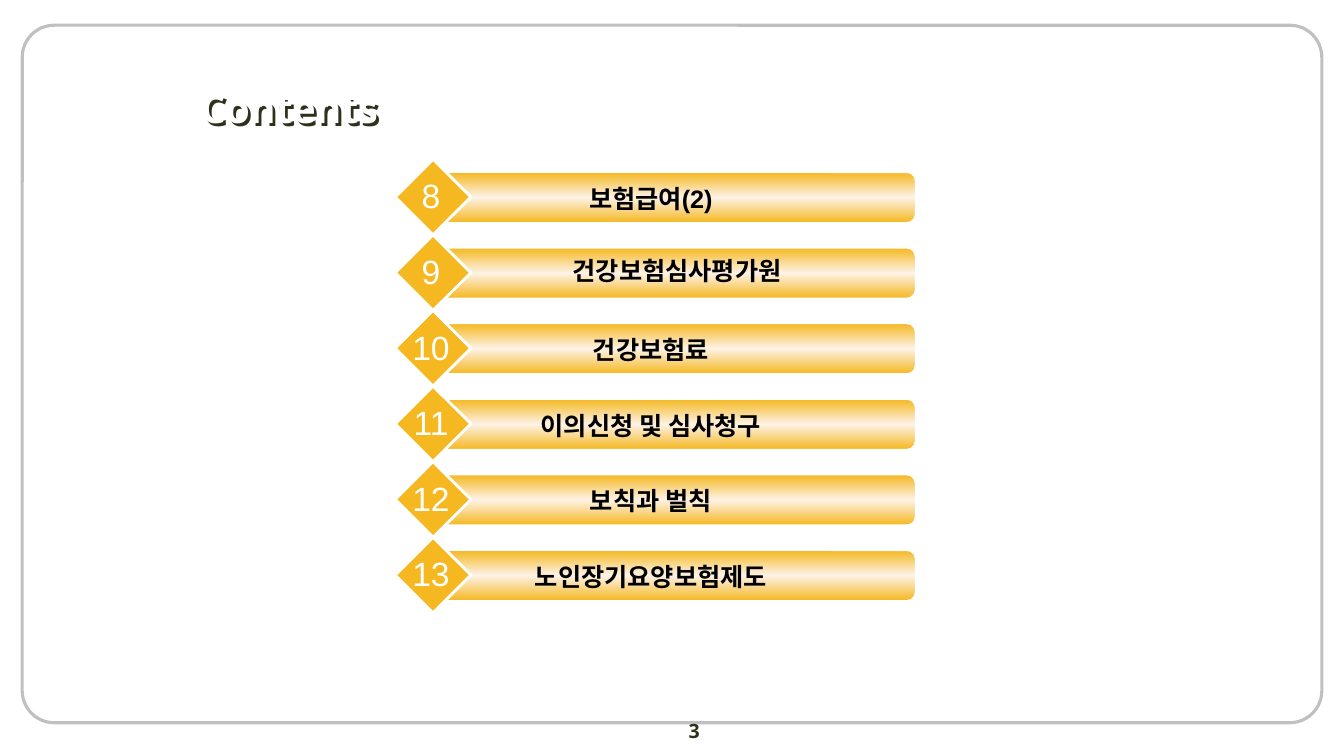
import copy

import pptx
import pptx.util
import pptx.dml.color
import pptx.enum.shapes
import pptx.enum.text
import pptx.oxml
import pptx.oxml.ns

Inches, Pt = pptx.util.Inches, pptx.util.Pt
RGBColor = pptx.dml.color.RGBColor
MSO_SHAPE = pptx.enum.shapes.MSO_SHAPE
PP_ALIGN = pptx.enum.text.PP_ALIGN
MSO_ANCHOR = pptx.enum.text.MSO_ANCHOR

TITLE = "Contents"
PAGE = "3"
CHAPTERS = [
    (8, "보험급여(2)"),
    (9, "건강보험심사평가원"),
    (10, "건강보험료"),
    (11, "이의신청 및 심사청구"),
    (12, "보칙과 벌칙"),
    (13, "노인장기요양보험제도"),
]
SHIFTED_LABELS = {9: (4.84, 0.15)}  # left and drop that differ from the rest

AMBER = RGBColor(0xF5, 0xB8, 0x21)
CREAM = RGBColor(0xFD, 0xF2, 0xE6)
GRAY = RGBColor(0xC0, 0xC0, 0xC0)
OLIVE = RGBColor(0x30, 0x31, 0x1D)
WHITE = RGBColor(0xFF, 0xFF, 0xFF)
BLACK = RGBColor(0, 0, 0)

TITLE_FONT = {"name": "Open Sans", "size": Pt(28), "bold": True}
PAGE_FONT = {"name": "Open Sans", "size": Pt(14), "bold": True}
LABEL_FONT = {"name": "Arial", "size": Pt(18), "bold": True}
NUMBER_FONT = {"name": "Arial", "size": Pt(24), "bold": False}

FIRST_TOP, PITCH = 1.58, 0.75
TITLE_SHADOW = (
    '<a:effectLst %s><a:outerShdw dist="36000" dir="2700000" algn="ctr" '
    'rotWithShape="0"><a:srgbClr val="%s"/></a:outerShdw></a:effectLst>'
    % (pptx.oxml.ns.nsdecls("a"), OLIVE)
)


def write(tf, text, font, color, align):
    p = tf.paragraphs[0]
    p.alignment = align
    r = p.add_run()
    r.text = text
    for name, value in font.items():
        setattr(r.font, name, value)
    r.font.color.rgb = color


def add_text(s, box, text, font, color, wrap=True):
    tf = s.shapes.add_textbox(*map(Inches, box)).text_frame
    tf.word_wrap = wrap
    write(tf, text, font, color, PP_ALIGN.CENTER)


def add_outlined(s, kind, box, line, width):
    sp = s.shapes.add_shape(kind, *map(Inches, box))
    sp.shadow.inherit = False
    sp.line.color.rgb = line
    sp.line.width = Pt(width)
    return sp


def fill_glossy(sp):
    """Vertical gradient: amber edges around a cream middle."""
    sp.fill.gradient()
    sp.fill.gradient_angle = 90
    first = sp._element.spPr.find(".//" + pptx.oxml.ns.qn("a:gs"))
    first.addnext(copy.deepcopy(first))
    stops = zip(sp.fill.gradient_stops, (0, 0.5, 1), (AMBER, CREAM, AMBER))
    for stop, position, color in stops:
        stop.position = position
        stop.color.rgb = color


def set_title(s):
    """White title, made legible by the shadow of its unfilled shape."""
    title = s.shapes.title
    title.left, title.top, title.width, title.height = map(
        Inches, (1.89, 0.78, 10.67, 0.58))
    title.fill.background()
    title.line.fill.background()
    title._element.spPr.append(pptx.oxml.parse_xml(TITLE_SHADOW))
    title.text_frame.vertical_anchor = MSO_ANCHOR.MIDDLE
    write(title.text_frame, TITLE, TITLE_FONT, WHITE, PP_ALIGN.LEFT)


def add_chapter(s, top, number, label):
    bar = add_outlined(s, MSO_SHAPE.ROUNDED_RECTANGLE,
                       (4.33, top + 0.13, 4.75, 0.5), WHITE, 1)
    fill_glossy(bar)
    diamond = add_outlined(s, MSO_SHAPE.DIAMOND,
                           (3.92, top, 0.75, 0.75), WHITE, 2)
    diamond.fill.solid()
    diamond.fill.fore_color.rgb = AMBER
    left, drop = SHIFTED_LABELS.get(number, (4.58, 0.19))
    add_text(s, (left, top + drop, 3.75, 0.4), label, LABEL_FONT, BLACK)
    add_text(s, (3.99, top + 0.11, 0.57, 0.5), str(number), NUMBER_FONT,
             WHITE, wrap=False)


def main():
    prs = pptx.Presentation()
    prs.slide_width, prs.slide_height = Inches(13.33), Inches(7.5)
    s = prs.slides.add_slide(prs.slide_layouts[5])

    frame = add_outlined(s, MSO_SHAPE.ROUNDED_RECTANGLE,
                         (0.22, 0.25, 12.89, 6.92), GRAY, 2.25)
    frame.adjustments[0] = 0.046
    frame.fill.background()

    set_title(s)
    add_text(s, (5.33, 7.08, 3.11, 0.27), PAGE, PAGE_FONT, OLIVE)
    for i, (number, label) in enumerate(CHAPTERS):
        add_chapter(s, FIRST_TOP + i * PITCH, number, label)

    prs.save("out.pptx")


if __name__ == "__main__":
    main()
